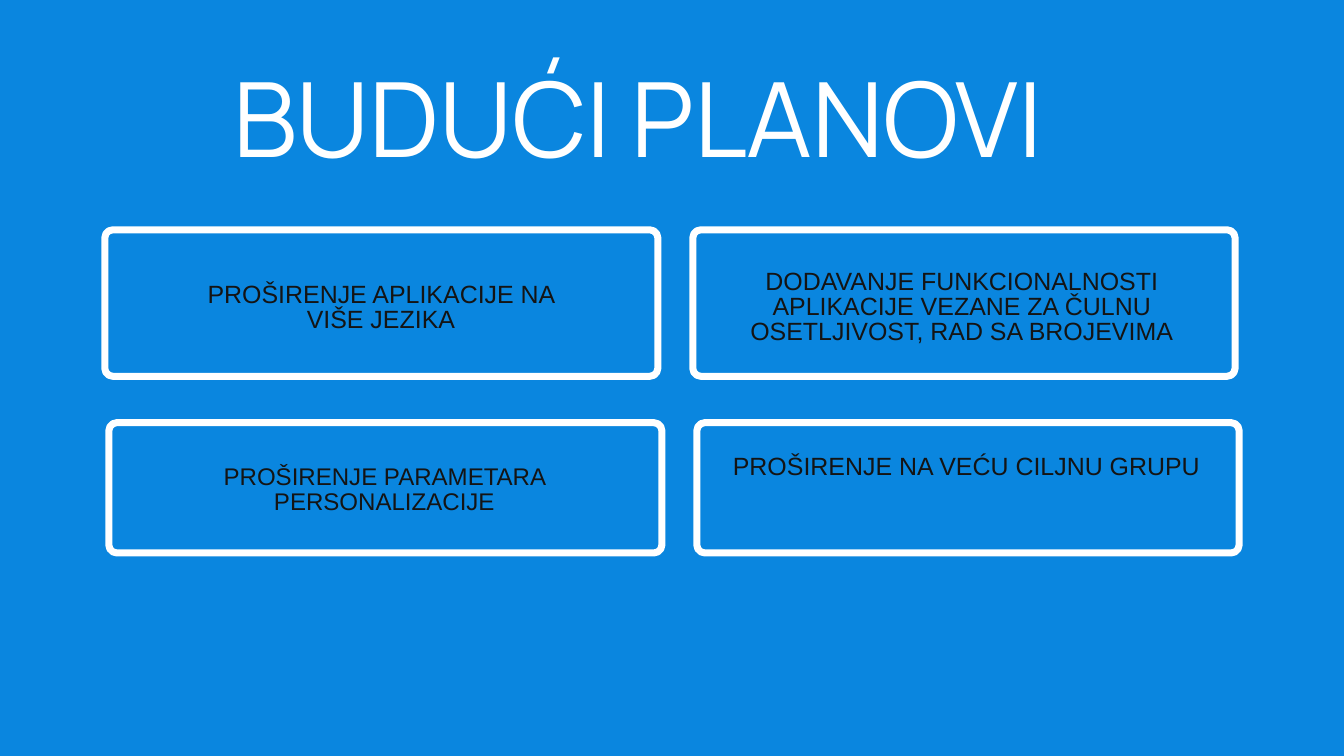
from pptx import Presentation
from pptx.dml.color import RGBColor
from pptx.enum.shapes import MSO_SHAPE
from pptx.enum.text import MSO_ANCHOR, MSO_AUTO_SIZE, PP_ALIGN
from pptx.util import Inches, Pt

ROUNDED = MSO_SHAPE.ROUNDED_RECTANGLE
LEFT, CENTER = PP_ALIGN.LEFT, PP_ALIGN.CENTER
TOP = MSO_ANCHOR.TOP
NO_FIT = MSO_AUTO_SIZE.NONE
TITLE_ONLY = 5

COLORS = {"background": "0A86DF", "frame": "FFFFFF", "title": "FFFFFF", "body": "141414"}
FONTS = {"title": "Manrope", "body": "Arial"}

COLUMNS = [(7.8, 41.15), (51.55, 40.35)]
ROWS = [(30.4, 19.38), (55.91, 17.24)]
ROW_SHIFT = 0.3

CARDS = [
    (0, 0, "PROŠIRENJE APLIKACIJE NA VIŠE JEZIKA", (13.2, 37.42, 30.3, 6.76), 26.7, 27),
    (0, 1, "DODAVANJE FUNKCIONALNOSTI APLIKACIJE VEZANE ZA ČULNU OSETLJIVOST, RAD SA BROJEVIMA",
     (53, 35.73, 37.15, 10.04), 26.7, 27),
    (1, 0, "PROŠIRENJE PARAMETARA PERSONALIZACIJE", (13.4, 61.69, 30.4, 6.67), 25.8, 26.1),
    (1, 1, "PROŠIRENJE NA VEĆU CILJNU GRUPU", (54.05, 60.27, 35.75, 6.67), 26.7, 27),
]


class Deck:
    """Holds the style and current slide; lengths are percentages of the slide size."""

    def __init__(self, width, height):
        self.prs = Presentation()
        self.prs.slide_width, self.prs.slide_height = Inches(width), Inches(height)
        self.s = None

    def add_slide(self):
        self.s = self.prs.slides.add_slide(self.prs.slide_layouts[TITLE_ONLY])
        fill = self.s.background.fill
        fill.solid()
        fill.fore_color.rgb = self.color("background")

    def color(self, name):
        return RGBColor.from_string(COLORS[name])

    def box(self, x, y, w, h):
        sw, sh = self.prs.slide_width, self.prs.slide_height
        return [round(share * size / 100) for share, size in ((x, sw), (y, sh), (w, sw), (h, sh))]

    def set_text(self, sp, text, role, size, leading, align):
        tf = sp.text_frame
        tf.word_wrap = True
        tf.auto_size = NO_FIT
        tf.vertical_anchor = TOP
        tf.margin_left = tf.margin_top = tf.margin_right = tf.margin_bottom = 0
        tf.text = text
        p = tf.paragraphs[0]
        p.alignment = align
        p.line_spacing = Pt(leading)
        p.font.name = FONTS[role]
        p.font.size = Pt(size)
        p.font.color.rgb = self.color(role)

    def title(self, text, area, size, leading):
        sp = self.s.shapes.title
        sp.left, sp.top, sp.width, sp.height = self.box(*area)
        self.set_text(sp, text, "title", size, leading, LEFT)

    def label(self, text, area, size, leading):
        sp = self.s.shapes.add_textbox(*self.box(*area))
        self.set_text(sp, text, "body", size, leading, CENTER)

    def frame(self, row, column):
        (x, w), (y, h) = COLUMNS[column], ROWS[row]
        sp = self.s.shapes.add_shape(ROUNDED, *self.box(x + row * ROW_SHIFT, y, w, h))
        sp.adjustments[0] = Inches(0.12) / sp.height
        sp.shadow.inherit = False
        sp.fill.background()
        sp.line.color.rgb = self.color("frame")
        sp.line.width = Pt(7.5)


def main():
    deck = Deck(20, 11.25)
    deck.add_slide()
    deck.title("BUDUĆI PLANOVI", (17.35, 9.69, 69, 14.58), 111.2, 112.3)
    for row, column, text, area, size, leading in CARDS:
        deck.frame(row, column)
        deck.label(text, area, size, leading)
    deck.prs.save("out.pptx")


if __name__ == "__main__":
    main()
